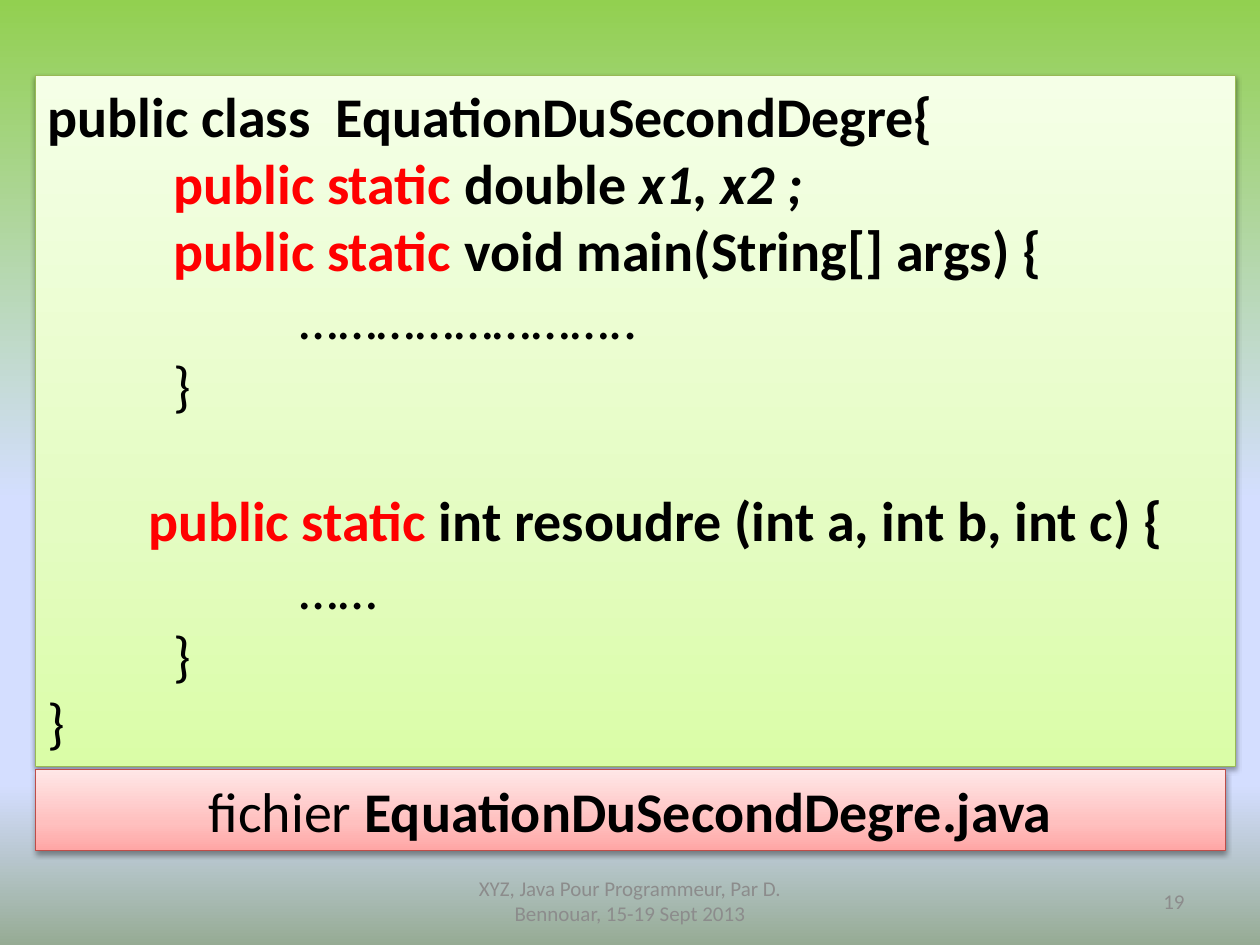
from lxml.etree import SubElement
from pptx import Presentation
from pptx.dml.color import RGBColor
from pptx.enum.shapes import MSO_SHAPE as Shape
from pptx.enum.text import MSO_ANCHOR as Anchor, PP_ALIGN as Align
from pptx.oxml.ns import qn
from pptx.util import Cm, Pt

FONT = "Calibri"
COLORS = {
    "text": "000000",
    "keyword": "FF0000",
    "footer": "8C8C8C",
    "code_line": "98B955",
    "file_line": "BF4C48",
}
GRADIENTS = {
    "sky": [(0, "92D050"), (53, "D4DEFF"), (83, "D4DEFF"), (100, "96AB94")],
    "code": [(0, "DAFDA7"), (35, "E4FCC2"), (100, "F5FFE7")],
    "file": [(0, "FFA6A5"), (35, "FFC0BF"), (100, "FFE7E7")],
}
STATIC = ("public static ", "keyword", True, False)
CODE = [
    (0, 0, [("public class  EquationDuSecondDegre{", "text", True, False)]),
    (2.54, 0, [STATIC, ("double ", "text", True, False), ("x1, x2 ;", "text", True, True)]),
    (2.54, 0, [STATIC, ("void main(String[] args) {", "text", True, False)]),
    (5.08, 0, [("……………………..", "text", False, False)]),
    (2.54, 0, [("}", "text", False, False)]),
    (2.03, 39, [STATIC, ("int resoudre (int a, int b, int c) {", "text", True, False)]),
    (5.08, 0, [("……", "text", False, False)]),
    (2.54, 0, [("}", "text", False, False)]),
    (0, 0, [("}", "text", False, False)]),
]


def rgb(name):
    """Return the named colour."""
    return RGBColor.from_string(COLORS[name])


def set_gradient(fill, element, name, angle):
    """Fill with the named colour stops, the angle counted anticlockwise."""
    fill.gradient()
    fill.gradient_angle = angle
    stops = next(element.iter(qn("a:gsLst")))
    for old_stop in list(stops):
        stops.remove(old_stop)
    for percent, color in GRADIENTS[name]:
        stop = SubElement(stops, qn("a:gs"), pos=str(percent * 1000))
        SubElement(stop, qn("a:srgbClr"), val=color)


def add_shadow(panel):
    """Give the panel a soft shadow below it."""
    panel.shadow.inherit = False
    effects = panel._element.spPr.find(qn("a:effectLst"))
    shadow = SubElement(effects, qn("a:outerShdw"), blurRad=str(Pt(3.1)),
                        dist=str(Pt(1.6)), dir="5400000", rotWithShape="0")
    color = SubElement(shadow, qn("a:srgbClr"), val="000000")
    SubElement(color, qn("a:alpha"), val="38000")


def add_panel(slide, box, name):
    """Add a shaded panel and return its text frame."""
    panel = slide.shapes.add_shape(Shape.RECTANGLE, *map(Cm, box))
    set_gradient(panel.fill, panel._element, name, 90)
    panel.line.color.rgb = rgb(f"{name}_line")
    panel.line.width = Pt(0.75)
    add_shadow(panel)
    frame = panel.text_frame
    frame.word_wrap = True
    frame.vertical_anchor = Anchor.TOP
    return frame


def write_runs(paragraph, runs, align):
    """Write coloured runs of large text into the paragraph."""
    paragraph.alignment = align
    paragraph.font.name = FONT
    paragraph.font.size = Pt(32)
    for text, color, bold, italic in runs:
        run = paragraph.add_run()
        run.text = text
        run.font.color.rgb = rgb(color)
        run.font.bold = bold
        run.font.italic = italic


def add_code(slide):
    """Add the class listing, indented by nesting level."""
    frame = add_panel(slide, (0.71, 1.52, 24.2, 13.94), "code")
    for number, (indent, gap, runs) in enumerate(CODE):
        paragraph = frame.add_paragraph() if number else frame.paragraphs[0]
        write_runs(paragraph, runs, Align.LEFT)
        paragraph.space_before = Pt(gap)
        properties = paragraph._p.get_or_add_pPr()
        properties.set("marL", str(Cm(indent)))
        properties.set("indent", "0")


def add_file_name(slide):
    """Add the banner naming the source file."""
    frame = add_panel(slide, (0.71, 15.52, 24, 1.63), "file")
    runs = [("fichier ", "text", False, False),
            ("EquationDuSecondDegre.java", "text", True, False)]
    write_runs(frame.paragraphs[0], runs, Align.CENTER)


def add_footer(slide, left, width, text, align):
    """Add one small grey footer text."""
    frame = slide.shapes.add_textbox(Cm(left), Cm(17.65), Cm(width), Cm(1.02)).text_frame
    frame.word_wrap = True
    frame.vertical_anchor = Anchor.MIDDLE
    paragraph = frame.paragraphs[0]
    paragraph.text = text
    paragraph.alignment = align
    paragraph.font.name = FONT
    paragraph.font.size = Pt(12)
    paragraph.font.color.rgb = rgb("footer")


def main():
    """Build the slide and save it."""
    deck = Presentation()
    deck.slide_width, deck.slide_height = Cm(25.4), Cm(19.05)
    slide = deck.slides.add_slide(deck.slide_layouts.get_by_name("Blank"))
    set_gradient(slide.background.fill, slide._element, "sky", 270)
    add_code(slide)
    add_footer(slide, 8.68, 8.04, "XYZ, Java Pour Programmeur, Par D. Bennouar, 15-19 Sept 2013",
               Align.CENTER)
    add_footer(slide, 18.2, 5.93, "19", Align.RIGHT)
    add_file_name(slide)
    deck.save("out.pptx")


main()
